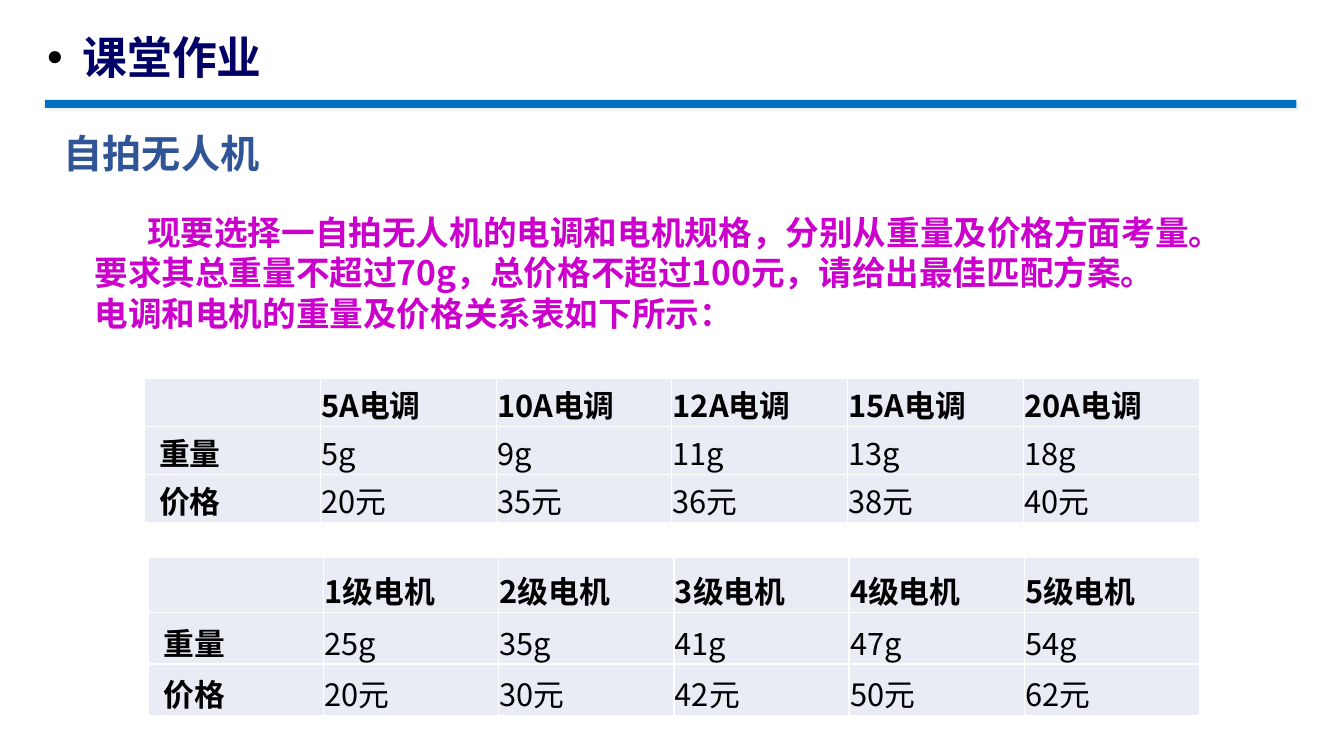
from dataclasses import dataclass

import lxml.etree
import pptx
import pptx.dml.color
import pptx.enum.shapes
import pptx.enum.text
import pptx.oxml.ns
import pptx.slide
import pptx.text.text
import pptx.util

Pt = pptx.util.Pt


@dataclass(frozen=True)
class Theme:
    font: str = "Noto Sans CJK SC"
    black: str = "000000"
    title: str = "000066"
    subtitle: str = "2F5597"
    body: str = "CC00CC"
    bar: str = "0070C0"
    bar_shadow: str = "E7E6E6"
    cell: str = "E9EBF5"
    border: str = "FFFFFF"
    title_size: float = 32
    subtitle_size: float = 28
    body_size: float = 24
    table_size: float = 22


THEME = Theme()


@dataclass(frozen=True)
class Line:
    """One paragraph; height is its exact line spacing in points."""
    text: str
    height: float
    left: float = 0
    indent: float = 0
    bullet: str = ""


@dataclass(frozen=True)
class TextBlock:
    box: tuple[float, float, float, float]
    size: float
    color: str
    lines: tuple[Line, ...]


@dataclass(frozen=True)
class PriceTable:
    left: float
    top: float
    column_width: float
    row_heights: tuple[float, ...]
    rows: tuple[tuple[str, ...], ...]


BLOCKS = (
    TextBlock((26.6, 19.4, 425.5, 56.9), THEME.title_size, THEME.title,
              (Line("课堂作业", 36.6, 25.2, -25.2, "•"),)),
    TextBlock((32.4, 85.7, 329, 41), THEME.subtitle_size, THEME.subtitle,
              (Line("自拍无人机", 36.6, indent=6),)),
    TextBlock((60.5, 137.5, 856.8, 103), THEME.body_size, THEME.body, (
        Line("现要选择一自拍无人机的电调和电机规格，分别从重量及价格方面考量。", 39, indent=37.6),
        Line("要求其总重量不超过70g，总价格不超过100元，请给出最佳匹配方案。", 29),
        Line("电调和电机的重量及价格关系表如下所示：", 29),
    )),
)

TABLES = (
    PriceTable(103.2, 270.2, 125.6, (34.3, 34.3, 34.3), (
        ("", "5A电调", "10A电调", "12A电调", "15A电调", "20A电调"),
        ("重量", "5g", "9g", "11g", "13g", "18g"),
        ("价格", "20元", "35元", "36元", "38元", "40元"),
    )),
    PriceTable(106.1, 398.3, 125.1, (39.4, 36.6, 36.6), (
        ("", "1级电机", "2级电机", "3级电机", "4级电机", "5级电机"),
        ("重量", "25g", "35g", "41g", "47g", "54g"),
        ("价格", "20元", "30元", "42元", "50元", "62元"),
    )),
)


def rgb(color: str) -> pptx.dml.color.RGBColor:
    return pptx.dml.color.RGBColor.from_string(color)


def add_element(parent: lxml.etree._Element, tag: str, **attributes: str) -> lxml.etree._Element:
    return lxml.etree.SubElement(parent, pptx.oxml.ns.qn(tag), attributes)


def write_paragraph(paragraph: pptx.text.text._Paragraph, text: str, size: float,
                    color: str, bold: bool) -> None:
    """Fill a paragraph, naming the font for Latin and East Asian letters alike."""
    paragraph.font.size = Pt(size)
    paragraph.font.bold = bold
    paragraph.font.color.rgb = rgb(color)
    paragraph.font.name = THEME.font
    if text:
        run = paragraph.add_run()
        run.text = text
        add_element(run.font._element, "a:ea", typeface=THEME.font)


def add_bar(slide: pptx.slide.Slide) -> None:
    bar = slide.shapes.add_shape(pptx.enum.shapes.MSO_SHAPE.RECTANGLE,
                                 Pt(32), Pt(71.3), Pt(894), Pt(5.8))
    bar.fill.solid()
    bar.fill.fore_color.rgb = rgb(THEME.bar)
    bar.line.fill.background()
    bar.shadow.inherit = False
    effects = bar._element.spPr.find(pptx.oxml.ns.qn("a:effectLst"))
    shadow = add_element(effects, "a:outerShdw", dist=str(Pt(2.8)), dir="2700000")
    color = add_element(shadow, "a:srgbClr", val=THEME.bar_shadow)
    add_element(color, "a:alpha", val="50000")


def add_text(slide: pptx.slide.Slide, block: TextBlock) -> None:
    frame = slide.shapes.add_textbox(*map(Pt, block.box)).text_frame
    frame.word_wrap = True
    for index, line in enumerate(block.lines):
        paragraph = frame.add_paragraph() if index else frame.paragraphs[0]
        paragraph.line_spacing = Pt(line.height)
        properties = paragraph._p.get_or_add_pPr()
        properties.set("marL", str(Pt(line.left)))
        properties.set("indent", str(Pt(line.indent)))
        if line.bullet:
            bullet_color = add_element(properties, "a:buClr")
            add_element(bullet_color, "a:srgbClr", val=THEME.black)
            add_element(properties, "a:buFont", typeface="Arial")
            add_element(properties, "a:buChar", char=line.bullet)
        write_paragraph(paragraph, line.text, block.size, block.color, True)


def add_table(slide: pptx.slide.Slide, data: PriceTable) -> None:
    column_count = len(data.rows[0])
    table = slide.shapes.add_table(
        len(data.rows), column_count, Pt(data.left), Pt(data.top),
        Pt(data.column_width * column_count), Pt(sum(data.row_heights))).table
    table.first_row = False
    table.horz_banding = False
    for column in table.columns:
        column.width = Pt(data.column_width)
    for row_index, texts in enumerate(data.rows):
        table.rows[row_index].height = Pt(data.row_heights[row_index])
        for column_index, text in enumerate(texts):
            cell = table.cell(row_index, column_index)
            cell.margin_left = Pt(0.7 if column_index else 10.6)
            cell.margin_right = cell.margin_top = Pt(0.7)
            cell.margin_bottom = Pt(0)
            cell.vertical_anchor = pptx.enum.text.MSO_ANCHOR.BOTTOM
            for side in ("a:lnL", "a:lnR", "a:lnT", "a:lnB"):
                border = add_element(cell._tc.tcPr, side, w=str(Pt(1)))
                fill = add_element(border, "a:solidFill")
                add_element(fill, "a:srgbClr", val=THEME.border)
            cell.fill.solid()
            cell.fill.fore_color.rgb = rgb(THEME.cell)
            is_heading = row_index == 0 or column_index == 0
            write_paragraph(cell.text_frame.paragraphs[0], text,
                            THEME.table_size, THEME.black, is_heading)


def main() -> None:
    presentation = pptx.Presentation()
    presentation.slide_width = Pt(960)
    presentation.slide_height = Pt(540)
    slide = presentation.slides.add_slide(presentation.slide_layouts[6])
    add_bar(slide)
    for block in BLOCKS:
        add_text(slide, block)
    for data in TABLES:
        add_table(slide, data)
    presentation.save("out.pptx")


if __name__ == "__main__":
    main()
